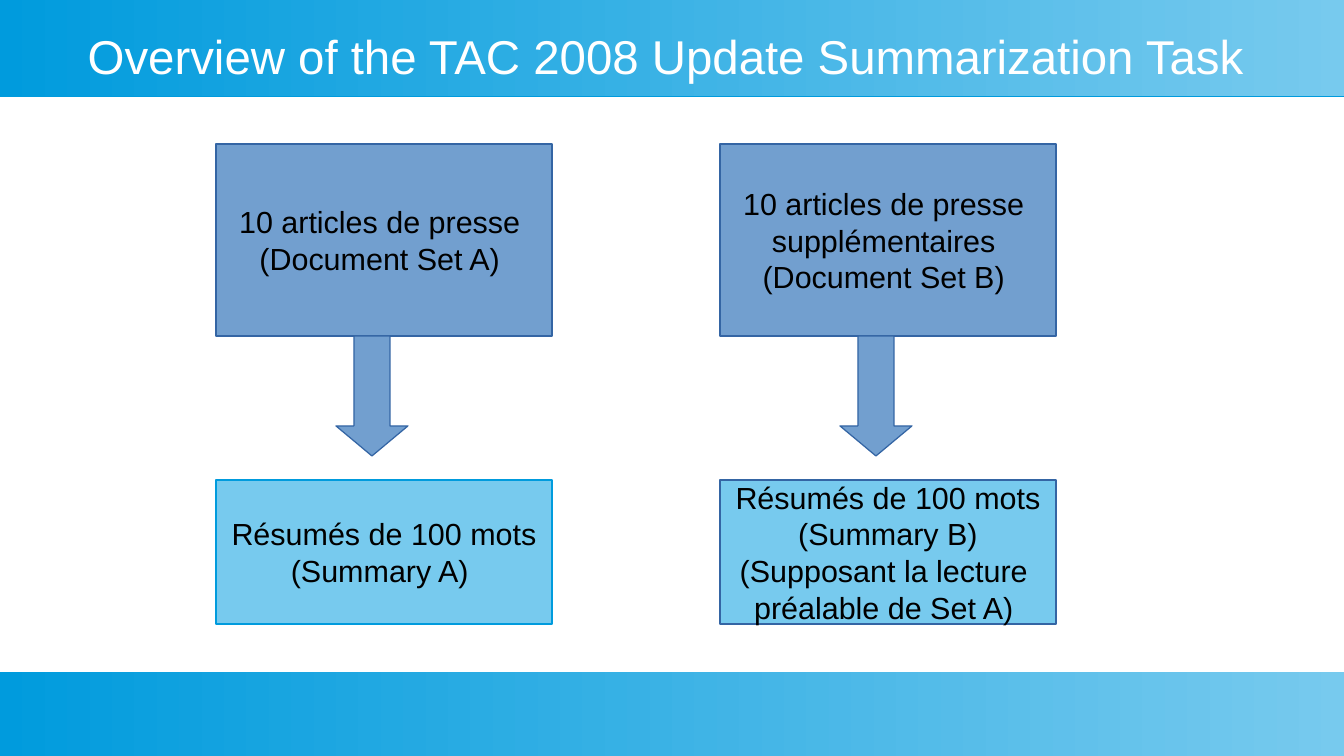
from lxml import etree
from pptx import Presentation
from pptx.dml.color import RGBColor
from pptx.enum.shapes import MSO_SHAPE as Shape
from pptx.enum.text import MSO_ANCHOR as Anchor, PP_ALIGN as Align
from pptx.oxml import parse_xml
from pptx.oxml.ns import nsdecls, qn
from pptx.util import Cm, Pt

COLORS = {
    "deep": "009BDD",
    "sky": "77CAEE",
    "steel": "729FCF",
    "edge": "3465A4",
    "ink": "000000",
    "paper": "FFFFFF",
}
COLUMNS, ROWS = 28, 15.75
FLOW_LEFT, FLOW_STEP, BOX_WIDTH = 4.5, 10.5, 7


def color(name):
    return RGBColor.from_string(COLORS[name])


def write(shape, lines, *, size=18, ink="ink", font="Arial", margins=(0.25, 0.13)):
    frame = shape.text_frame
    frame.word_wrap = True
    frame.vertical_anchor = Anchor.MIDDLE
    frame.margin_left = frame.margin_right = Cm(margins[0])
    frame.margin_top = frame.margin_bottom = Cm(margins[1])
    for index, line in enumerate(lines):
        para = frame.add_paragraph() if index else frame.paragraphs[0]
        para.alignment = Align.CENTER
        span = para.add_run()
        span.text = line
        span.font.size = Pt(size)
        span.font.name = font
        span.font.color.rgb = color(ink)


class Page:
    def __init__(self, deck):
        self.shapes = deck.slides.add_slide(deck.slide_layouts[6]).shapes
        self.unit_x = deck.slide_width / COLUMNS
        self.unit_y = deck.slide_height / ROWS

    def place(self, column, row, width, height):
        return (round(column * self.unit_x), round(row * self.unit_y),
                round(width * self.unit_x), round(height * self.unit_y))

    def shape(self, kind, area, fill, edge):
        shape = self.shapes.add_shape(kind, *self.place(*area))
        shape.shadow.inherit = False
        shape.fill.solid()
        shape.fill.fore_color.rgb = color(fill)
        shape.line.color.rgb = color(edge)
        shape.line.width = Pt(0)
        return shape

    def band(self, row, height):
        band = self.shape(Shape.RECTANGLE, (0, row, COLUMNS, height), "sky", "deep")
        band.line.fill.background()
        band.fill.gradient()
        band.fill.gradient_angle = 0
        for stop, name in zip(band.fill.gradient_stops, ("deep", "sky")):
            stop.color.rgb = color(name)
        effects = band.element.spPr.find(qn("a:effectLst"))
        shadow = parse_xml(f'<a:outerShdw {nsdecls("a")} dist="{Pt(0.9)}" dir="5400000"/>')
        etree.SubElement(shadow, qn("a:srgbClr"), val=COLORS["deep"])
        effects.append(shadow)

    def title(self, text):
        box = self.shapes.add_textbox(*self.place(1, 0.5, 26, 1.32))
        write(box, [text], size=28, ink="paper", margins=(0, 0))

    def box(self, area, lines, fill, edge="edge"):
        write(self.shape(Shape.RECTANGLE, area, fill, edge), lines)

    def arrow(self, area):
        arrow = self.shape(Shape.DOWN_ARROW, area, "steel", "edge")
        arrow.adjustments[0] = 0.5
        arrow.adjustments[1] = 0.417

    def flow(self, index, documents, summary, edge):
        left = FLOW_LEFT + index * FLOW_STEP
        self.box((left, 3, BOX_WIDTH, 4), documents, "steel")
        self.arrow((left + 2.5, 7, 1.5, 2.5))
        self.box((left, 10, BOX_WIDTH, 3), summary, "sky", edge)


def main():
    deck = Presentation()
    deck.slide_width, deck.slide_height = Cm(COLUMNS), Cm(ROWS)
    page = Page(deck)
    page.band(0, 2)
    page.band(14, 1.75)
    page.title("Overview of the TAC 2008 Update Summarization Task ")
    flows = [
        (["10 articles de presse ", "(Document Set A) "],
         ["Résumés de 100 mots ", "(Summary A) "], "deep"),
        (["10 articles de presse ", "supplémentaires ", "(Document Set B) "],
         ["Résumés de 100 mots ", "(Summary B)", "(Supposant la lecture ",
          "préalable de Set A) "], "edge"),
    ]
    for index, (documents, summary, edge) in enumerate(flows):
        page.flow(index, documents, summary, edge)
    deck.save("out.pptx")


if __name__ == "__main__":
    main()
